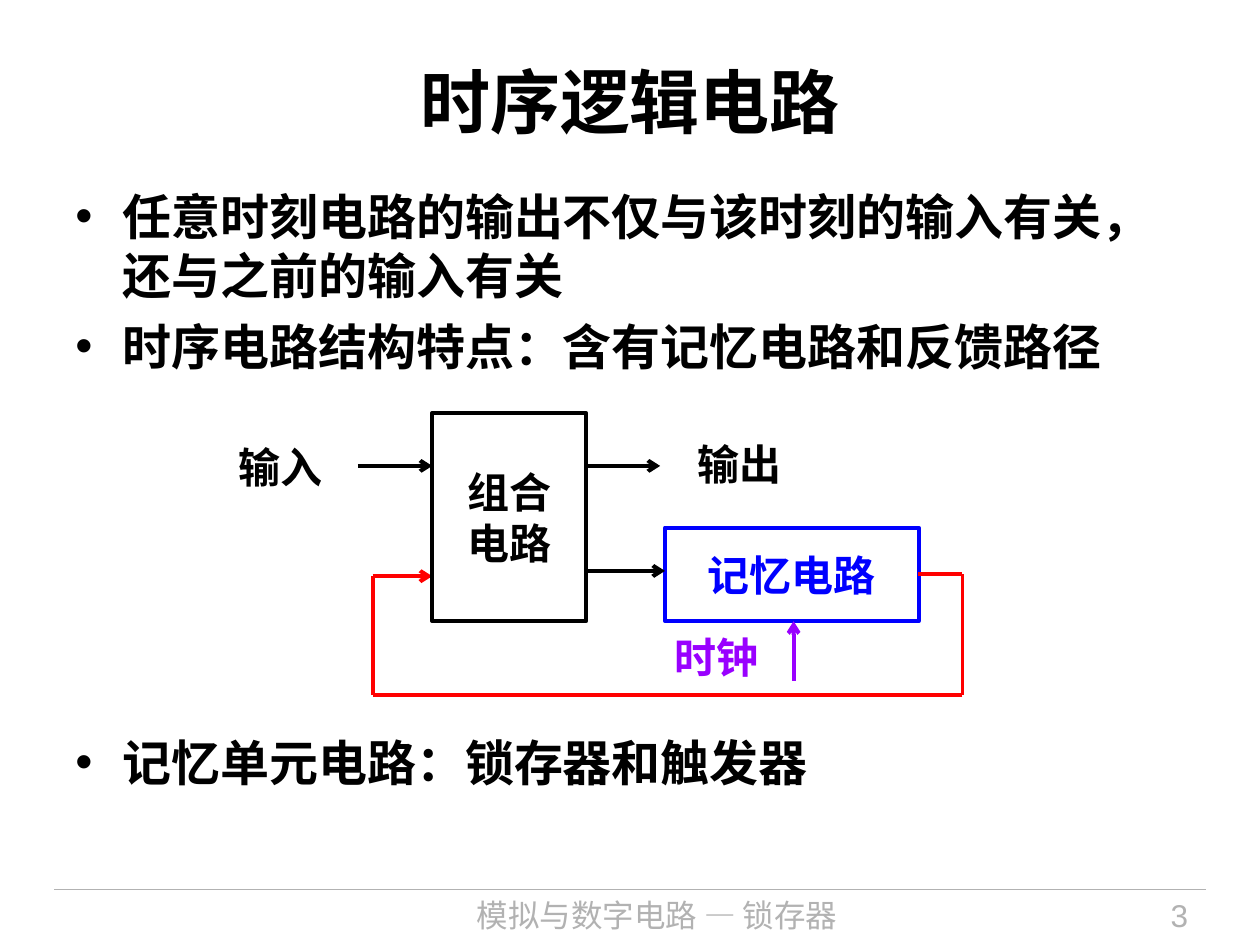
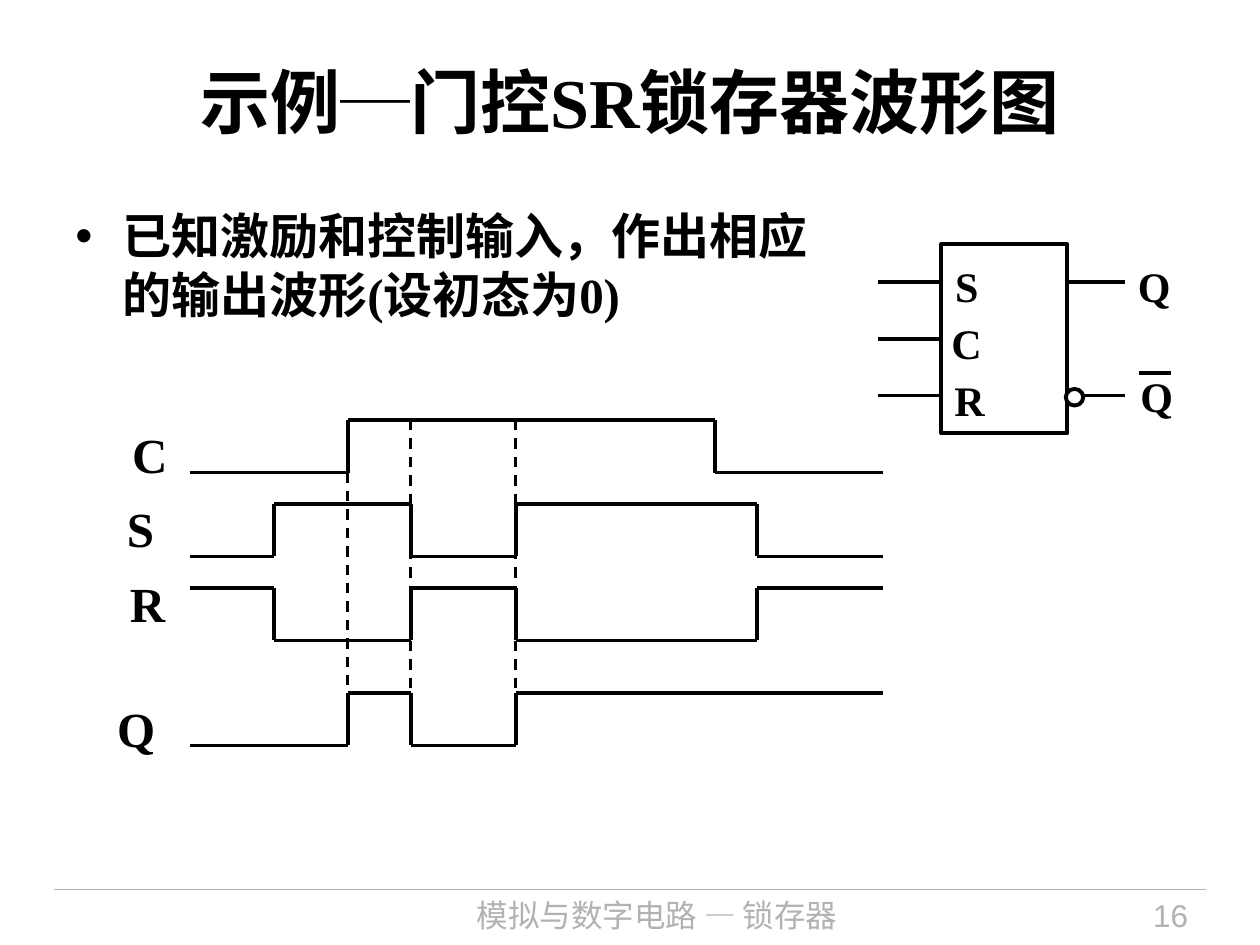
import itertools

import lxml.etree
import pptx
import pptx.dml.color
import pptx.enum.dml
import pptx.enum.shapes
import pptx.enum.text
import pptx.oxml.ns
import pptx.util

Pt = pptx.util.Pt
ALIGN = pptx.enum.text.PP_ALIGN
ANCHOR = pptx.enum.text.MSO_ANCHOR
SHAPE = pptx.enum.shapes.MSO_SHAPE

BLACK, GREY, RED, BLUE, PURPLE, WHITE = (
    "000000", "B2B2B2", "FF0000", "0000FF", "9900FF", "FFFFFF")
SERIF, SANS, CHINESE = "Times New Roman", "Arial", "Noto Sans CJK SC"


def rgb(color):
    return pptx.dml.color.RGBColor.from_string(color)


def add_xml(parent, tag, **attributes):
    return lxml.etree.SubElement(parent, pptx.oxml.ns.qn(tag), attributes)


class Deck:
    """Holds the shared style and the slide being drawn."""

    def __init__(self):
        self.presentation = pptx.Presentation()
        self.presentation.slide_width = Pt(720)
        self.presentation.slide_height = Pt(540)
        self.slide = None

    def start_slide(self, title, number):
        layout = self.presentation.slide_layouts[6]
        self.slide = self.presentation.slides.add_slide(layout)
        self.line(31, 508.25, 689, 508.25, GREY, 0.75)
        self.text("模拟与数字电路 — 锁存器", 173, 508.25, 405, 31.5, 18, GREY,
                  font=CHINESE, bold=False, anchor=ANCHOR.TOP)
        self.text(number, 590.5, 508.25, 95.5, 31.5, 18, GREY, font=SANS,
                  bold=False, align=ALIGN.RIGHT, anchor=ANCHOR.TOP)
        self.text(title, 36, 12.25, 648, 90, 40)

    def add_words(self, paragraph, words, size, color, font, bold):
        run = paragraph.add_run()
        run.text = words
        run.font.size = Pt(size)
        run.font.bold = bold
        run.font.color.rgb = rgb(color)
        run.font.name = font
        add_xml(run._r.get_or_add_rPr(), "a:ea", typeface=CHINESE)

    def fill_frame(self, frame, lines, size, color, font, bold, align, anchor):
        frame.vertical_anchor = anchor
        for index, words in enumerate(lines):
            paragraph = frame.paragraphs[0] if index == 0 else frame.add_paragraph()
            paragraph.alignment = align
            self.add_words(paragraph, words, size, color, font, bold)

    def text(self, words, left, top, width, height, size, color=BLACK, font=SERIF,
             bold=True, align=ALIGN.CENTER, anchor=ANCHOR.MIDDLE):
        box = self.slide.shapes.add_textbox(Pt(left), Pt(top), Pt(width), Pt(height))
        box.text_frame.word_wrap = True
        self.fill_frame(box.text_frame, [words], size, color, font, bold, align, anchor)

    def symbol(self, letter, center_x, center_y, size):
        self.text(letter, center_x - 20, center_y - 20, 40, 40, size)

    def bullets(self, items, left, top, width, height):
        box = self.slide.shapes.add_textbox(Pt(left), Pt(top), Pt(width), Pt(height))
        frame = box.text_frame
        frame.word_wrap = True
        for index, words in enumerate(items):
            paragraph = frame.paragraphs[0] if index == 0 else frame.add_paragraph()
            paragraph.space_after = Pt(7)
            properties = paragraph._p.get_or_add_pPr()
            properties.set("marL", str(Pt(27)))
            properties.set("indent", str(Pt(-27)))
            add_xml(add_xml(properties, "a:buClr"), "a:srgbClr", val=BLACK)
            add_xml(properties, "a:buFont", typeface=SANS)
            add_xml(properties, "a:buChar", char="•")
            self.add_words(paragraph, words, 28, BLACK, SERIF, True)

    def block(self, left, top, width, height, lines=(), color=BLACK,
              kind=SHAPE.RECTANGLE, fill=None):
        shape = self.slide.shapes.add_shape(
            kind, Pt(left), Pt(top), Pt(width), Pt(height))
        shape.shadow.inherit = False
        if fill:
            shape.fill.solid()
            shape.fill.fore_color.rgb = rgb(fill)
        else:
            shape.fill.background()
        shape.line.color.rgb = rgb(color)
        shape.line.width = Pt(2.25)
        self.fill_frame(shape.text_frame, lines, 24, color, SANS, True,
                        ALIGN.CENTER, ANCHOR.MIDDLE)

    def line(self, x1, y1, x2, y2, color=BLACK, width=2.25, arrow=False, dashed=False):
        connector = self.slide.shapes.add_connector(
            pptx.enum.shapes.MSO_CONNECTOR.STRAIGHT, Pt(x1), Pt(y1), Pt(x2), Pt(y2))
        connector.line.color.rgb = rgb(color)
        connector.line.width = Pt(width)
        if dashed:
            connector.line.dash_style = pptx.enum.dml.MSO_LINE.DASH
        properties = connector._element.spPr
        if arrow:
            add_xml(properties.find(pptx.oxml.ns.qn("a:ln")), "a:tailEnd", type="arrow")
        add_xml(properties, "a:effectLst")

    def route(self, points, color=BLACK, arrow=False):
        """Joins the points with straight lines; the last may carry an arrowhead."""
        legs = list(itertools.pairwise(points))
        for index, (start, end) in enumerate(legs):
            self.line(*start, *end, color, arrow=arrow and index == len(legs) - 1)

    def waveform(self, high_y, swing, begin, end, edges, starts_high=False):
        """Draws a signal that toggles between two levels at each edge."""
        levels = [high_y + swing, high_y]
        is_high = starts_high
        points = [(begin, levels[is_high])]
        for edge in edges:
            points.append((edge, levels[is_high]))
            is_high = not is_high
            points.append((edge, levels[is_high]))
        self.route(points + [(end, levels[is_high])])


def draw_sequential_circuit(deck):
    deck.start_slide("时序逻辑电路", "3")
    deck.bullets(["任意时刻电路的输出不仅与该时刻的输入有关，还与之前的输入有关",
                  "时序电路结构特点：含有记忆电路和反馈路径"], 36, 103, 647.5, 120)
    deck.bullets(["记忆单元电路：锁存器和触发器"], 36, 415, 647.5, 50)

    deck.block(380, 301.5, 145, 53.5, ["记忆电路"], BLUE)
    deck.line(335, 326.25, 380, 326.25, arrow=True)
    deck.route([(524.5, 328.25), (550, 328.25), (550, 397.25),
                (213, 397.25), (213, 329.25), (247, 329.25)], RED, arrow=True)
    deck.block(247, 236, 88, 119, ["组合", "电路"])
    deck.line(204.5, 266.25, 247, 266.25, arrow=True)
    deck.line(335, 266.25, 377.25, 266.25, arrow=True)
    deck.line(453.5, 389, 453.5, 355, PURPLE, arrow=True)
    deck.text("输入", 114, 252, 93, 29, 24)
    deck.text("输出", 377, 250.5, 91, 29, 24)
    deck.text("时钟", 371.5, 360.5, 76, 29, 24, PURPLE)


def draw_latch_symbol(deck):
    left, right = 538, 610
    pins = [161.25, 193.75, 226]
    top_pin, _, bottom_pin = pins
    deck.block(left, 139.5, right - left, 108)
    for pin, letter, center_x in zip(pins, "SCR", (552.5, 552.25, 554)):
        deck.line(left, pin, left - 36, pin)
        deck.symbol(letter, center_x, pin + 2.25, 24)
    deck.line(right, top_pin, 643, top_pin)
    deck.line(615.5, bottom_pin, 643, bottom_pin)
    deck.block(609, 222.25, 10, 9.5, kind=SHAPE.OVAL, fill=WHITE)
    deck.symbol("Q", 659.5, 163.5, 24)
    deck.symbol("Q", 661, 226, 24)
    deck.line(651, 213.25, 669, 213.25)


def draw_gated_latch_waveforms(deck):
    deck.start_slide("示例─门控SR锁存器波形图", "16")
    deck.bullets(["已知激励和控制输入，作出相应的输出波形(设初态为0)"], 36, 114, 446, 80)

    begin, end, swing = 108.75, 504.75, 30
    clock_rise, set_fall, set_rise, clock_fall = 198.75, 234.75, 294.75, 408.75
    input_edges = [156.75, set_fall, set_rise, 432.75]
    signals = [
        ("C", 240, [clock_rise, clock_fall], False, 85.5, 259.5),
        ("S", 288, input_edges, False, 80.25, 301.5),
        ("R", 336, input_edges, True, 84.25, 344.5),
        ("Q", 396, [clock_rise, set_fall, set_rise], False, 77.75, 415.75),
    ]
    for name, high_y, edges, starts_high, name_x, name_y in signals:
        deck.waveform(high_y, swing, begin, end, edges, starts_high)
        deck.symbol(name, name_x, name_y, 28)
    for x, top in [(clock_rise, 270), (set_fall, 240), (set_rise, 240)]:
        deck.line(x, top, x, 426, width=1.5, dashed=True)
    draw_latch_symbol(deck)


def main():
    deck = Deck()
    draw_sequential_circuit(deck)
    draw_gated_latch_waveforms(deck)
    deck.presentation.save("out.pptx")


if __name__ == "__main__":
    main()
